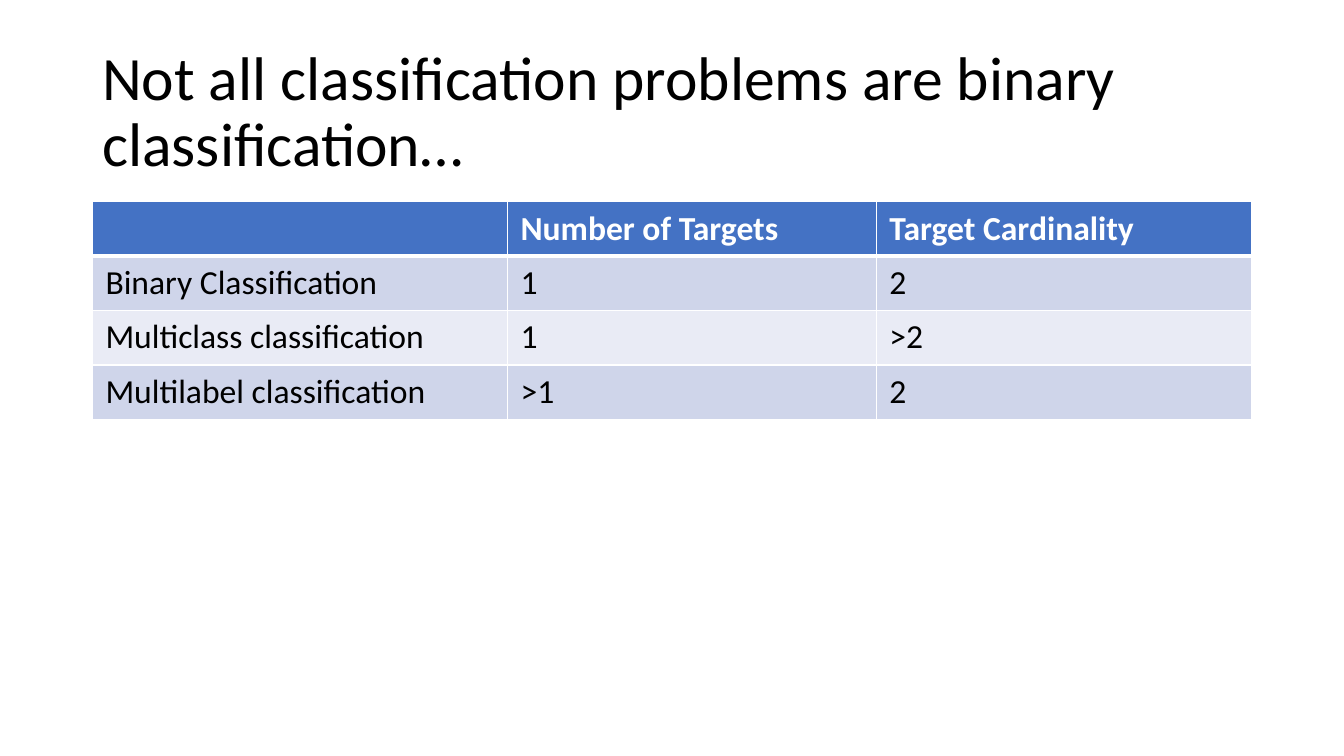
from pptx import Presentation
from pptx.dml.color import RGBColor
from pptx.enum.text import MSO_ANCHOR
from pptx.oxml import parse_xml
from pptx.oxml.ns import nsdecls
from pptx.util import Pt

THEME = {
    "font": "Calibri", "title": 44, "body": 24,
    "ink": "000000", "white": "FFFFFF", "head": "4472C4",
    "bands": ["E9EBF5", "CFD5EA"],
}


def style(para, size, color, bold=False):
    font = para.font
    font.name, font.size, font.bold = THEME["font"], Pt(size), bold
    font.color.rgb = RGBColor.from_string(color)


def border(cell, side, width):
    cell._tc.get_or_add_tcPr().append(parse_xml(
        f'<a:ln{side} {nsdecls("a")} w="{Pt(width)}"><a:solidFill>'
        f'<a:srgbClr val="{THEME["white"]}"/></a:solidFill></a:ln{side}>'))


deck = Presentation()
deck.slide_width, deck.slide_height = Pt(960), Pt(540)
slide = deck.slides.add_slide(deck.slide_layouts[6])

# Title
box = slide.shapes.add_textbox(Pt(66), Pt(28.75), Pt(828), Pt(104.4))
frame = box.text_frame
frame.word_wrap = True
frame.vertical_anchor = MSO_ANCHOR.MIDDLE
title = frame.paragraphs[0]
title.text = "Not all classification problems are binary classification…"
title.line_spacing = 0.9
style(title, THEME["title"], THEME["ink"])

# Table of problem types
rows = [
    ["", "Number of Targets", "Target Cardinality"],
    ["Binary Classification", "1", "2"],
    ["Multiclass classification", "1", ">2"],
    ["Multilabel classification", ">1", "2"],
]
widths = [296.5, 263.5, 268]
high = 38.9
table = slide.shapes.add_table(len(rows), len(widths), Pt(66), Pt(144),
                               Pt(sum(widths)), Pt(high * len(rows))).table
for col, width in zip(table.columns, widths):
    col.width = Pt(width)

for r, row in enumerate(rows):
    table.rows[r].height = Pt(high)
    head = r == 0
    fill = THEME["head"] if head else THEME["bands"][r % 2]
    for c, text in enumerate(row):
        cell = table.cell(r, c)
        cell.margin_left = cell.margin_right = Pt(9.4)
        cell.margin_top = cell.margin_bottom = Pt(4.7)
        # A thick rule parts the header from the body
        for side, width in (("L", 1), ("R", 1), ("T", 3 if r == 1 else 1),
                            ("B", 3 if head else 1)):
            border(cell, side, width)
        cell.fill.solid()
        cell.fill.fore_color.rgb = RGBColor.from_string(fill)
        para = cell.text_frame.paragraphs[0]
        if text:
            para.text = text
        style(para, THEME["body"], THEME["white" if head else "ink"], head)

deck.save("out.pptx")
